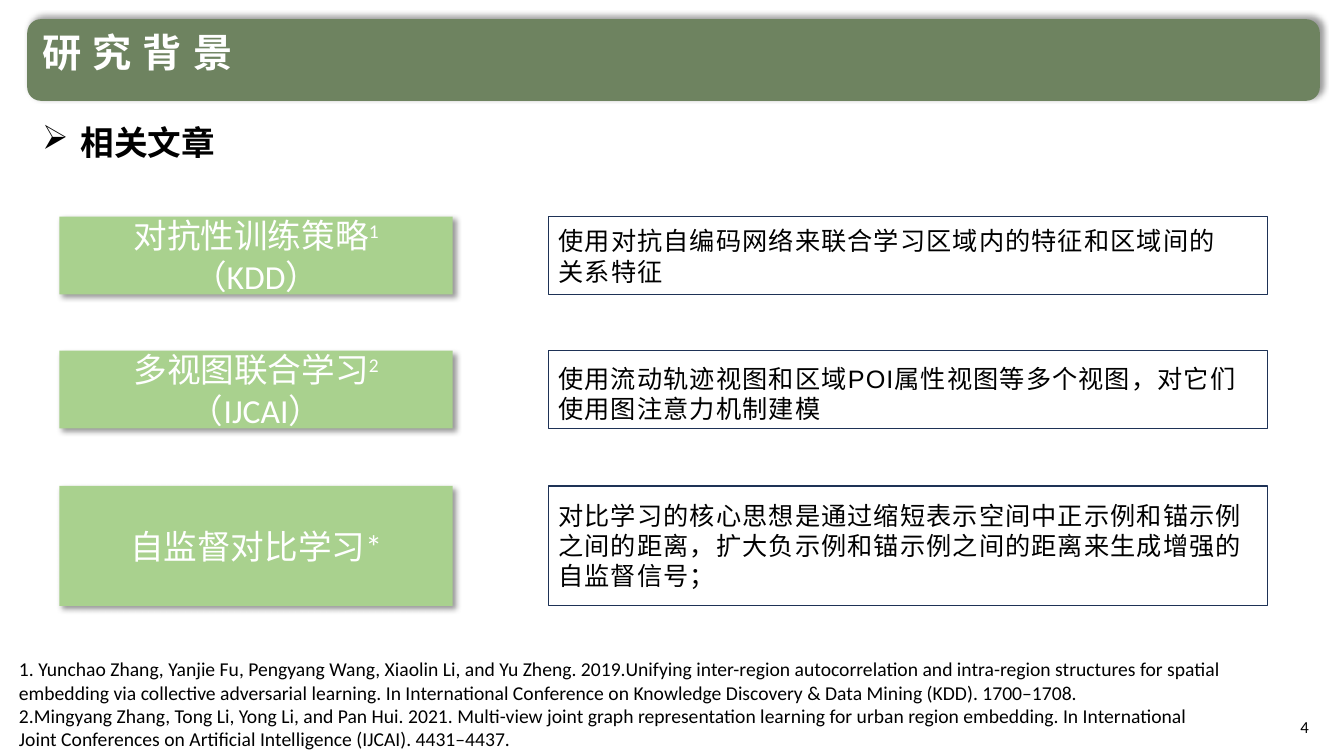
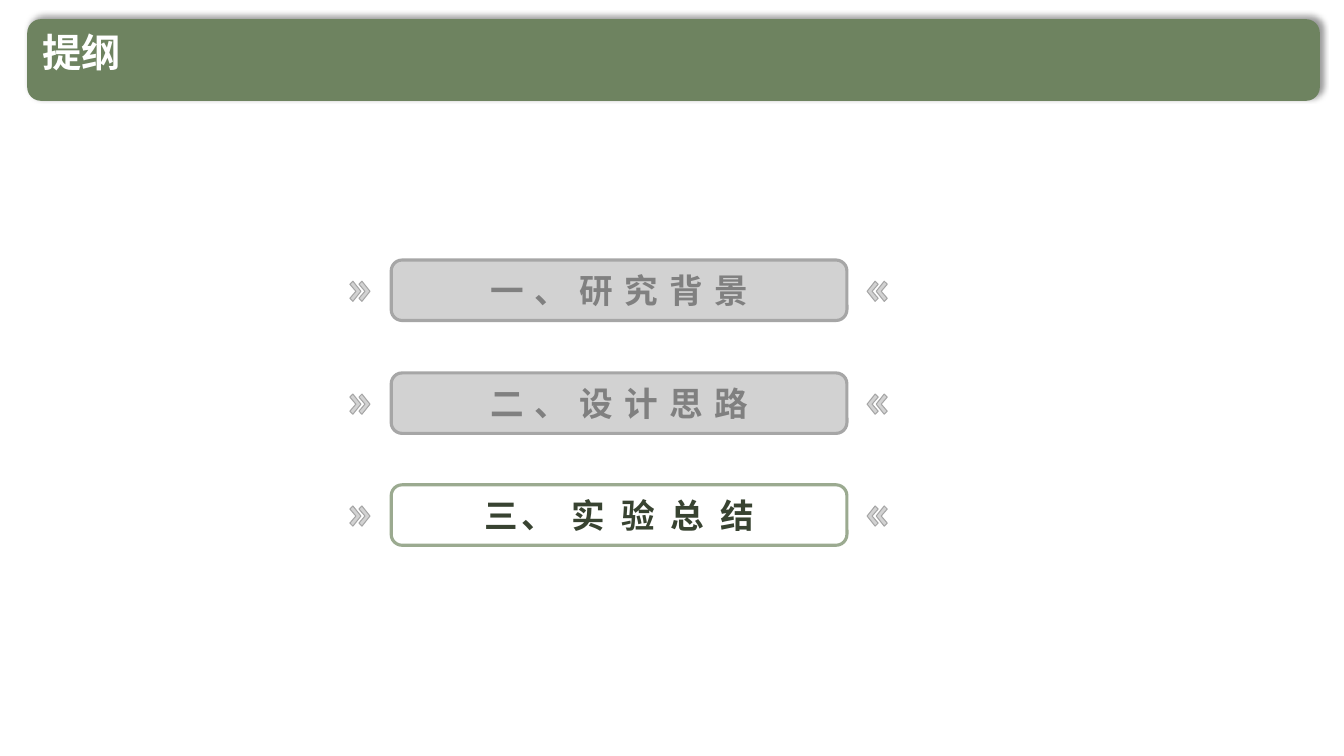
from dataclasses import dataclass

from lxml.etree import SubElement
from pptx import Presentation
from pptx.dml.color import RGBColor
from pptx.enum.shapes import MSO_SHAPE as Preset
from pptx.enum.text import MSO_ANCHOR as Anchor, PP_ALIGN as Align
from pptx.oxml.ns import qn
from pptx.util import Inches, Pt

COLORS = {
    "band": "6E8360", "label": "A9D18E", "frame": "1E3256",
    "gray": "A6A6A6", "muted": "808080", "active": "384331",
    "active_line": "9BAA90", "white": "FFFFFF", "black": "000000",
}
CJK = "Noto Sans CJK SC"
LATIN = "Calibri"


@dataclass(frozen=True)
class Run:
    text: str
    superscript: bool = False


@dataclass(frozen=True)
class Article:
    label: tuple[Run, ...]
    detail: str
    top: float
    height: float
    detail_top: float
    detail_width: float
    detail_height: float


@dataclass(frozen=True)
class Chapter:
    title: str
    top: float
    active: bool = False


# Shared helpers
def rgb(name: str) -> RGBColor:
    return RGBColor.from_string(COLORS[name])


def write(shape, *paragraphs, size=18, font=LATIN, color="black", bold=False,
          spacing=0, align=Align.LEFT, anchor=Anchor.TOP, line_spacing=None,
          bullet=None):
    """Fill a shape with paragraphs, each a string or a tuple of runs."""
    frame = shape.text_frame
    frame.word_wrap = True
    frame.vertical_anchor = anchor
    for index, content in enumerate(paragraphs):
        paragraph = frame.add_paragraph() if index else frame.paragraphs[0]
        paragraph.alignment = align
        if line_spacing:
            paragraph.line_spacing = line_spacing
        if bullet:
            properties = paragraph._p.get_or_add_pPr()
            properties.set("marL", str(Inches(0.38)))
            properties.set("indent", str(-Inches(0.38)))
            SubElement(properties, qn("a:buChar")).set("char", bullet)
        runs = (Run(content),) if isinstance(content, str) else content
        for part in runs:
            run = paragraph.add_run()
            run.text = part.text
            run.font.size = Pt(size)
            run.font.bold = bold
            run.font.name = font
            run.font.color.rgb = rgb(color)
            style = run._r.get_or_add_rPr()
            SubElement(style, qn("a:ea")).set("typeface", CJK)
            if spacing:
                style.set("spc", str(round(spacing * 100)))
            if part.superscript:
                style.set("baseline", "30000")


def add_text(slide, left: float, top: float, width: float, height: float,
             *paragraphs, **text_format):
    box = slide.shapes.add_textbox(
        Inches(left), Inches(top), Inches(width), Inches(height))
    write(box, *paragraphs, **text_format)


def paint(shape, fill=None, line=None, line_width=1.0, opacity=100):
    shape.shadow.inherit = False
    if fill:
        shape.fill.solid()
        shape.fill.fore_color.rgb = rgb(fill)
        if opacity < 100:
            tint = shape._element.spPr.find(qn("a:solidFill"))[0]
            SubElement(tint, qn("a:alpha")).set("val", str(opacity * 1000))
    else:
        shape.fill.background()
    if line:
        shape.line.color.rgb = rgb(line)
        shape.line.width = Pt(line_width)
    else:
        shape.line.fill.background()


def add_shape(slide, preset, left: float, top: float, width: float,
              height: float, **look):
    shape = slide.shapes.add_shape(
        preset, Inches(left), Inches(top), Inches(width), Inches(height))
    paint(shape, **look)
    return shape


def cast_shadow(shape, degrees: int):
    effects = shape._element.spPr.find(qn("a:effectLst"))
    shadow = SubElement(effects, qn("a:outerShdw"))
    settings = {"blurRad": Pt(4), "dist": Pt(3), "dir": degrees * 60000,
                "algn": "tl", "rotWithShape": 0}
    for key, value in settings.items():
        shadow.set(key, str(value))
    tint = SubElement(shadow, qn("a:srgbClr"))
    tint.set("val", COLORS["black"])
    SubElement(tint, qn("a:alpha")).set("val", "40000")


def start_slide(deck, title: str, spacing: float = 0):
    slide = deck.slides.add_slide(deck.slide_layouts[6])
    band = add_shape(slide, Preset.ROUNDED_RECTANGLE, 0.27, 0.19, 12.82, 0.81,
                     fill="band")
    cast_shadow(band, 315)
    add_text(slide, 0.32, 0.28, 11.07, 0.62, title, size=28, font=CJK,
             color="white", bold=True, spacing=spacing, line_spacing=0.9)
    return slide


# Related articles
ARTICLES = (
    Article((Run("对抗性训练策略"), Run("1 ", True), Run("（KDD）")),
            "使用对抗自编码网络来联合学习区域内的特征和区域间的关系特征",
            2.15, 0.77, 2.19, 6.85, 0.71),
    Article((Run("多视图联合学习"), Run("2 ", True), Run("（IJCAI）")),
            "使用流动轨迹视图和区域POI属性视图等多个视图，对它们使用图注意力机制建模",
            3.48, 0.77, 3.55, 7.13, 0.71),
    Article((Run("自监督对比学习*"),),
            "对比学习的核心思想是通过缩短表示空间中正示例和锚示例之间的距离，"
            "扩大负示例和锚示例之间的距离来生成增强的自监督信号；",
            4.82, 1.19, 4.91, 7.13, 1.01),
)
REFERENCES = (
    (6.93, ("2.Mingyang Zhang, Tong Li, Yong Li, and Pan Hui. 2021. Multi-view "
            "joint graph representation learning for urban region embedding. In "
            "International Joint Conferences on Artificial Intelligence (IJCAI). "
            "4431–4437.",)),
    (6.47, ("1. Yunchao Zhang, Yanjie Fu, Pengyang Wang, Xiaolin Li, and Yu Zheng. "
            "2019.Unifying inter-region autocorrelation and intra-region "
            "structures for spatial",
            "embedding via collective adversarial learning. In International "
            "Conference on Knowledge Discovery & Data Mining (KDD). 1700–1708.")),
)


def add_article(slide, article: Article):
    label = add_shape(slide, Preset.RECTANGLE, 0.59, article.top, 3.9,
                      article.height, fill="label")
    cast_shadow(label, 45)
    write(label, article.label, size=24, color="white", align=Align.CENTER,
          anchor=Anchor.MIDDLE)
    add_shape(slide, Preset.RECTANGLE, 5.44, article.top, 7.13,
              article.height, line="frame")
    add_text(slide, 5.44, article.detail_top, article.detail_width,
             article.detail_height, article.detail, font="Arial", spacing=0.8)


def build_background(deck):
    slide = start_slide(deck, "研究背景", spacing=8)
    add_text(slide, 0.32, 1.16, 6.67, 0.5, "相关文章", size=24, bold=True,
             bullet="➢")
    for article in ARTICLES:
        add_article(slide, article)
    for top, lines in REFERENCES:
        add_text(slide, 0.09, top, 12.2, 0.57, *lines, size=14)
    add_text(slide, 12.29, 7.01, 0.79, 0.4, "4", size=12, align=Align.RIGHT,
             anchor=Anchor.MIDDLE)


# Outline
CHAPTERS = (
    Chapter("一、研究背景", 2.58),
    Chapter("二、设计思路", 3.7),
    Chapter("三、 实 验 总 结", 4.81, active=True),
)
CHEVRON = ((0.03, 0), (0, 0.03), (0.06, 0.1), (0, 0.17), (0.03, 0.2), (0.11, 0.1))
CHEVRON_WIDTH = 0.11
CHEVRON_STEP = 0.09


def add_chevron_pair(slide, left: float, top: float, mirrored: bool):
    pair = slide.shapes.add_group_shape()
    for index in range(2):
        start = left + index * CHEVRON_STEP
        points = [(Inches(start + (CHEVRON_WIDTH - x if mirrored else x)),
                   Inches(top + y)) for x, y in CHEVRON]
        outline = pair.shapes.build_freeform(*points[0])
        outline.add_line_segments(points[1:], close=True)
        paint(outline.convert_to_shape(), fill="gray", opacity=50,
              line="gray", line_width=0.75)


def add_chapter(slide, chapter: Chapter):
    look = ({"line": "active_line"} if chapter.active
            else {"line": "gray", "fill": "gray", "opacity": 50})
    button = add_shape(slide, Preset.ROUNDED_RECTANGLE, 3.88, chapter.top,
                       4.52, 0.6, line_width=2.25, **look)
    button.adjustments[0] = 0.18
    write(button, chapter.title, size=24, font=CJK, bold=True,
          color="active" if chapter.active else "muted",
          spacing=3 if chapter.active else 8,
          align=Align.CENTER, anchor=Anchor.MIDDLE)
    for left, mirrored in ((3.47, False), (8.6, True)):
        add_chevron_pair(slide, left, chapter.top + 0.21, mirrored)


def build_outline(deck):
    slide = start_slide(deck, "提纲")
    for chapter in CHAPTERS:
        add_chapter(slide, chapter)


deck = Presentation()
deck.slide_width = Inches(13.33)
deck.slide_height = Inches(7.5)
build_background(deck)
build_outline(deck)
deck.save("out.pptx")
